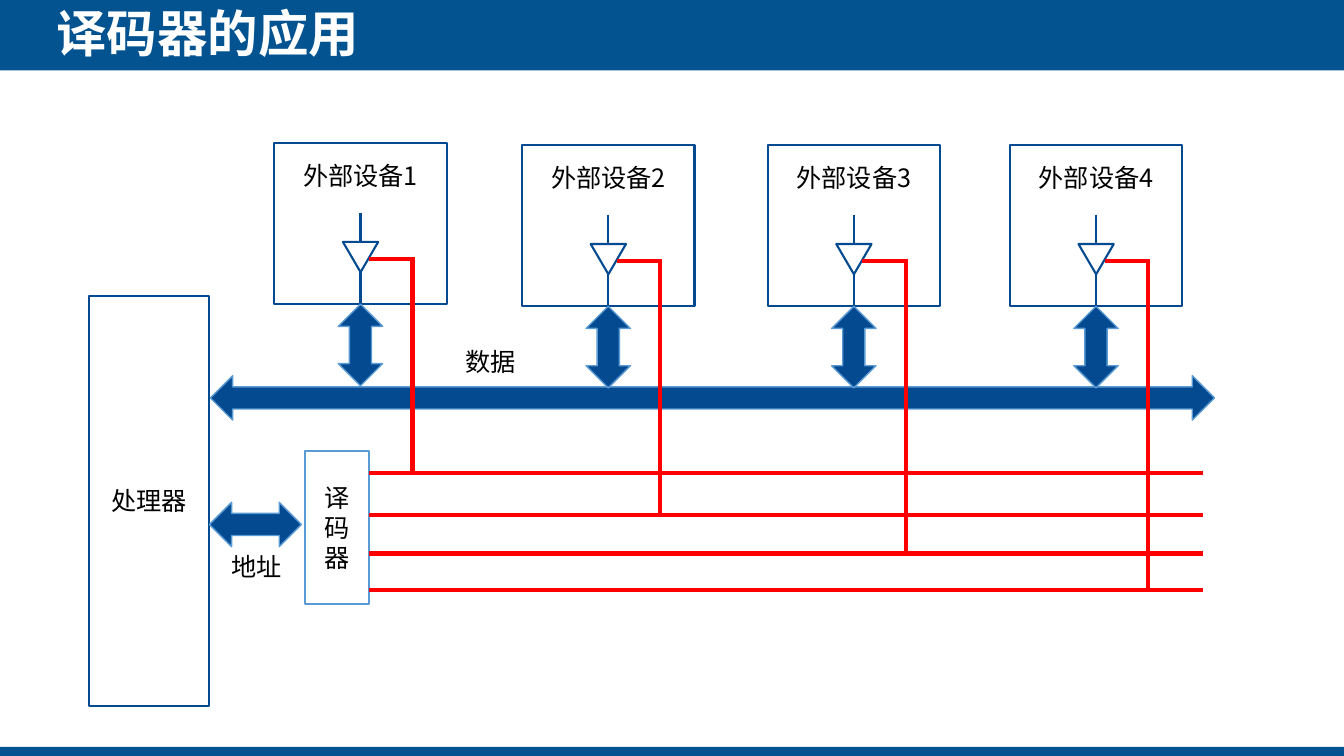
from dataclasses import dataclass

from lxml import etree
from pptx import Presentation
from pptx import util as u
from pptx.dml.color import RGBColor
from pptx.enum import shapes, text
from pptx.oxml import ns

FONT = "Noto Sans CJK SC"
COLORS = {
    "banner": "035390",
    "navy": "034A90",
    "edge": "5B9BD5",
    "select": "FF0000",
    "white": "FFFFFF",
    "black": "000000",
}
KINDS = shapes.MSO_SHAPE
BOX_WIDTH, BOX_HEIGHT = 123.1, 115.2
ARROW_THICKNESS = 31.7
ROW_LEFT, ROW_RIGHT = 263.7, 859


@dataclass
class Device:
    label: str
    left: float
    top: float
    row: float  # height of the decoder output that selects it


@dataclass
class Style:
    fill: str | None = None
    line: str | None = None
    width: float = 1.5


DEVICES = [
    Device("外部设备1", 196, 102.2, 337.7),
    Device("外部设备2", 373, 103.7, 367.9),
    Device("外部设备3", 548.4, 103.7, 395.3),
    Device("外部设备4", 721.4, 103.7, 421.2),
]
BANNER = Style("banner")
BLOCK = Style("white", "navy")
DECODER = Style("white", "edge")
BUS = Style("navy", "edge", 1)
WIRE = Style(line="navy")
SELECT = Style(line="select", width=3)


def color(name: str) -> RGBColor:
    return RGBColor.from_string(COLORS[name])


def set_all(target, values: dict) -> None:
    for name, value in values.items():
        setattr(target, name, value)


def write(box, words: str, size=18, ink="black", bold=False,
          align=text.PP_ALIGN.CENTER, spacing=None, **frame_format) -> None:
    frame = box.text_frame
    set_all(frame, {"word_wrap": True, "auto_size": text.MSO_AUTO_SIZE.NONE,
                    "vertical_anchor": text.MSO_ANCHOR.MIDDLE} | frame_format)
    para = frame.paragraphs[0]
    set_all(para, {"alignment": align, "line_spacing": spacing})
    span = para.add_run()
    span.text = words
    set_all(span.font, {"name": FONT, "size": u.Pt(size), "bold": bold})
    span.font.color.rgb = color(ink)
    east_asian = etree.SubElement(span.font._element, ns.qn("a:ea"))
    east_asian.set("typeface", FONT)


def draw(slide, kind, left: float, top: float, width: float, height: float,
         style: Style, rotation: float = 0):
    shape = slide.shapes.add_shape(
        kind, u.Pt(left), u.Pt(top), u.Pt(width), u.Pt(height))
    set_all(shape, {"rotation": rotation})
    shape.shadow.inherit = False
    if style.fill:
        shape.fill.solid()
        shape.fill.fore_color.rgb = color(style.fill)
    else:
        shape.fill.background()
    if style.line:
        shape.line.color.rgb = color(style.line)
        shape.line.width = u.Pt(style.width)
    else:
        shape.line.fill.background()
    return shape


def connect(slide, x1: float, y1: float, x2: float, y2: float,
            style: Style) -> None:
    wire = slide.shapes.add_connector(
        shapes.MSO_CONNECTOR.STRAIGHT, u.Pt(x1), u.Pt(y1), u.Pt(x2), u.Pt(y2))
    wire.line.color.rgb = color(style.line)
    wire.line.width = u.Pt(style.width)
    etree.SubElement(wire._element.spPr, ns.qn("a:effectLst"))


def add_label(slide, words: str, left: float, top: float) -> None:
    box = slide.shapes.add_textbox(
        u.Pt(left), u.Pt(top), u.Pt(51.1), u.Pt(28.8))
    write(box, words, word_wrap=False)


def add_device(slide, device: Device) -> None:
    left, top = device.left, device.top
    middle = left + BOX_WIDTH / 2
    bottom = top + BOX_HEIGHT
    box = draw(slide, KINDS.RECTANGLE, left, top, BOX_WIDTH, BOX_HEIGHT, BLOCK)
    write(box, device.label, vertical_anchor=text.MSO_ANCHOR.TOP,
          margin_top=u.Pt(12))
    # Three-state buffer
    draw(slide, KINDS.ISOSCELES_TRIANGLE, middle - 12.6, top + 70.6,
         25.2, 21.6, WIRE, 180)
    connect(slide, middle, top + 49.7, middle, top + 71.5, WIRE)
    connect(slide, middle, top + 92.2, middle, bottom, WIRE)
    connect(slide, middle + 7.5, top + 83, middle + 22.5, top + 83, WIRE)
    # Link to the data bus
    draw(slide, KINDS.LEFT_RIGHT_ARROW, middle - 29.2,
         bottom + 29 - ARROW_THICKNESS / 2, 58.3, ARROW_THICKNESS, BUS, 270)


def add_select_line(slide, device: Device) -> None:
    drop = device.left + 98.7
    gate = device.top + 83
    connect(slide, ROW_LEFT, device.row, ROW_RIGHT, device.row, SELECT)
    connect(slide, drop, device.row, drop, gate, SELECT)
    connect(slide, drop + 1.4, gate, device.left + 67.6, gate, SELECT)


def main() -> None:
    deck = Presentation()
    set_all(deck, {"slide_width": u.Pt(960), "slide_height": u.Pt(540)})
    slide = deck.slides.add_slide(deck.slide_layouts[5])

    # Banner, footer bar and title
    draw(slide, KINDS.RECTANGLE, 0, 0, 960, 50.4, BANNER)
    draw(slide, KINDS.RECTANGLE, 0, 533.4, 960, 6.6, BANNER)
    title = slide.shapes.title
    set_all(title, {"left": u.Pt(40.3), "top": u.Pt(1.4),
                    "width": u.Pt(617), "height": u.Pt(44)})
    margins = dict.fromkeys(
        ["margin_left", "margin_top", "margin_right", "margin_bottom"], 0)
    write(title, "译码器的应用", 36, "white", True, text.PP_ALIGN.LEFT,
          **margins)
    slide.shapes._spTree.append(title._element)  # in front of the banner

    # Processor and data bus
    processor = draw(slide, KINDS.RECTANGLE, 63.5, 211.5, 85.8, 292.5, BLOCK)
    write(processor, "处理器")
    draw(slide, KINDS.LEFT_RIGHT_ARROW, 150.3, 268.4, 717.2,
         ARROW_THICKNESS, BUS)
    add_label(slide, "数据", 325, 244)

    # External devices
    for device in DEVICES:
        add_device(slide, device)

    # Address bus and decoder
    add_label(slide, "地址", 158, 390.5)
    decoder = draw(slide, KINDS.RECTANGLE, 217.9, 322, 45.8, 109.4, DECODER)
    write(decoder, "译码器", spacing=u.Pt(21.5))
    draw(slide, KINDS.LEFT_RIGHT_ARROW, 149.6, 358.8, 65.7,
         ARROW_THICKNESS, BUS)

    # Decoder outputs
    for device in DEVICES:
        add_select_line(slide, device)

    deck.save("out.pptx")


if __name__ == "__main__":
    main()
